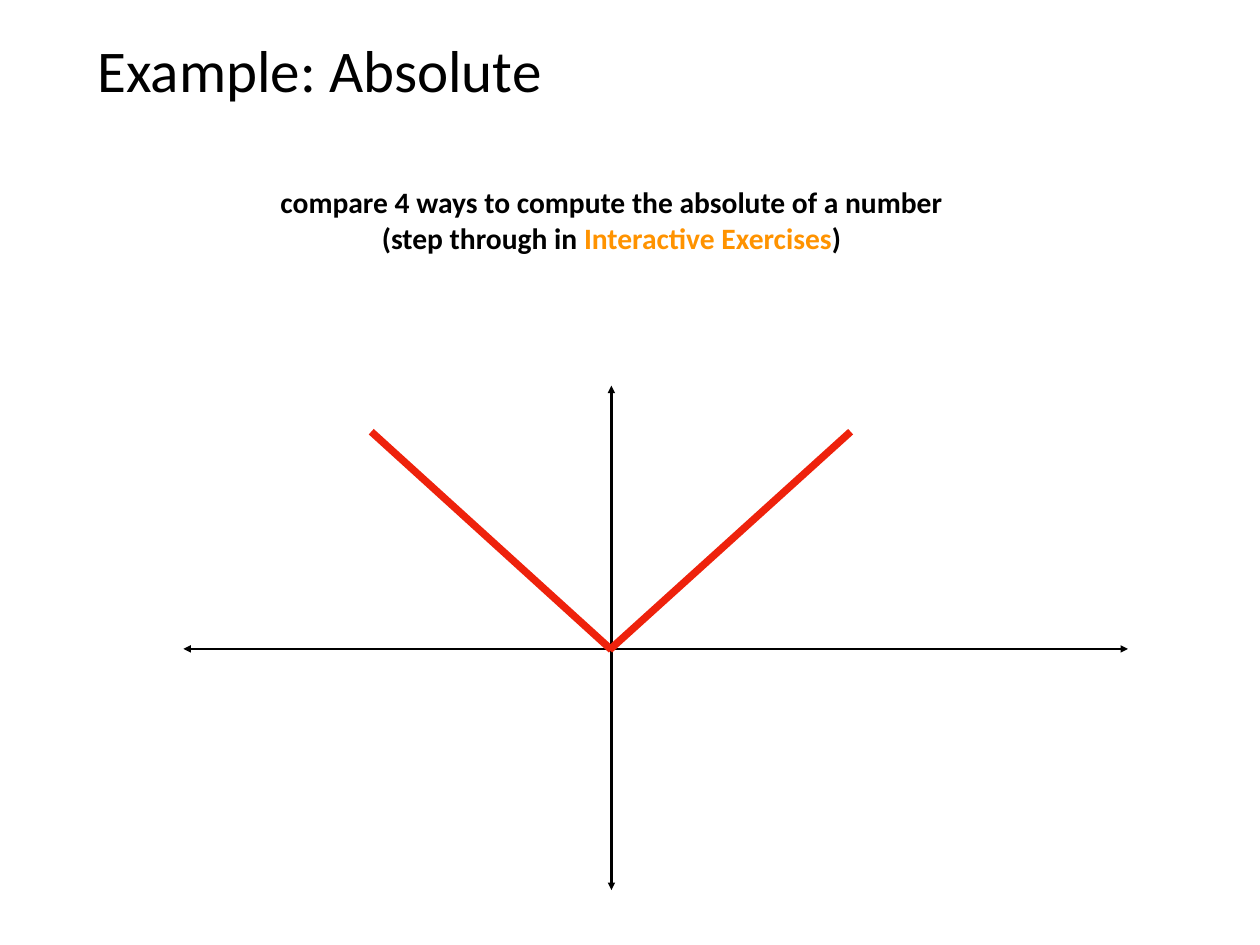
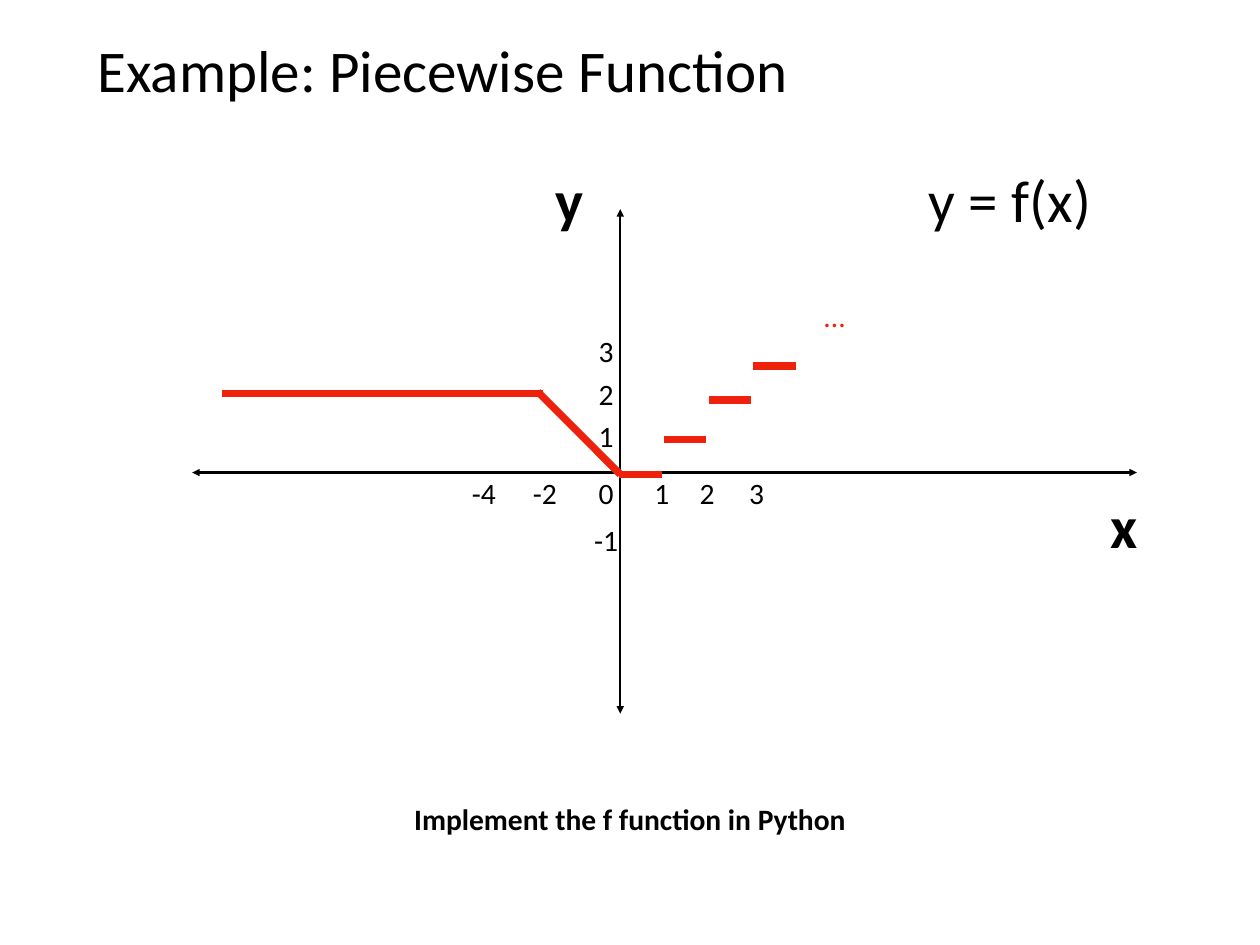
from lxml import etree
from pptx import Presentation
from pptx.dml.color import RGBColor
from pptx.enum.shapes import MSO_CONNECTOR
from pptx.enum.text import MSO_ANCHOR, MSO_AUTO_SIZE, PP_ALIGN
from pptx.oxml.ns import qn
from pptx.util import Inches, Pt

LINE = MSO_CONNECTOR.STRAIGHT
MIDDLE = MSO_ANCHOR.MIDDLE
FIXED = MSO_AUTO_SIZE.NONE
LEFT, CENTER = PP_ALIGN.LEFT, PP_ALIGN.CENTER
BLACK, RED, ORANGE = "000000", "EE220C", "FF9300"
FACE = "Calibri"
LARGE, SMALL = 48, 24
TITLE_BOX = (1.04, 0.28, 12.14, 0.99)


def color(code):
    return RGBColor.from_string(code)


def set_frame(frame, wrap):
    frame.auto_size = FIXED
    frame.word_wrap = wrap
    frame.vertical_anchor = MIDDLE
    frame.margin_left = frame.margin_right = Inches(0.06)
    frame.margin_top = frame.margin_bottom = Inches(0.06)


def set_font(font, size, code=BLACK, bold=False):
    font.name = FACE
    font.size = Pt(size)
    font.bold = bold
    font.color.rgb = color(code)


def add_page(deck, text):
    slide = deck.slides.add_slide(deck.slide_layouts[5])
    title = slide.shapes.title
    title.left, title.top, title.width, title.height = map(Inches, TITLE_BOX)
    title.text = text
    set_frame(title.text_frame, True)
    line = title.text_frame.paragraphs[0]
    line.alignment = LEFT
    set_font(line.font, LARGE)
    return slide


def add_label(slide, mid, size, lines, code=BLACK, bold=False):
    x, y = mid
    width, height = size
    box = slide.shapes.add_textbox(Inches(x - width / 2), Inches(y - height / 2),
                                   Inches(width), Inches(height))
    frame = box.text_frame
    set_frame(frame, False)
    for index, (text, points) in enumerate(lines):
        line = frame.add_paragraph() if index else frame.paragraphs[0]
        line.alignment = CENTER
        set_font(line.font, points, code, bold)
        line.add_run().text = text
    return frame


def add_line(slide, start, end, code, width, arrows=False):
    link = slide.shapes.add_connector(LINE, *map(Inches, (*start, *end)))
    link.line.color.rgb = color(code)
    link.line.width = Pt(width)
    props = link._element.spPr
    if arrows:
        stroke = props.find(qn("a:ln"))
        for tag in ("a:headEnd", "a:tailEnd"):
            etree.SubElement(stroke, qn(tag), type="triangle")
    etree.SubElement(props, qn("a:effectLst"))


def add_plane(slide, origin, strokes):
    x, y = origin
    for start, end in (((0, 2.72), (0, -2.97)), ((5.83, 0), (-4.83, 0))):
        add_line(slide, (x + start[0], y + start[1]),
                 (x + end[0], y + end[1]), BLACK, 2, True)
    for start, end in strokes:
        add_line(slide, (x + start[0], y + start[1]),
                 (x + end[0], y + end[1]), RED, 6)


def add_marks(slide, origin):
    x, y = origin
    ticks = [(text, dx, 0.23) for text, dx in (
        ("-4", -1.54), ("-2", -0.85), ("0", -0.16),
        ("1", 0.47), ("2", 0.98), ("3", 1.54))]
    ticks += [(text, -0.16, dy) for text, dy in (
        ("3", -1.37), ("2", -0.89), ("1", -0.41), ("-1", 0.76))]
    for text, dx, dy in ticks:
        add_label(slide, (x + dx, y + dy), (0.41, 0.51), [(text, SMALL)])
    add_label(slide, (x + 2.42, y - 1.77), (0.38, 0.51), [("...", SMALL)], RED)
    for text, dx, dy, width, bold in (
            ("x", 5.69, 0.59, 0.5, True),
            ("y", -0.57, -3.09, 0.5, True),
            ("y = f(x)", 4.4, -3.09, 2.16, False)):
        add_label(slide, (x + dx, y + dy), (width, 0.91),
                  [(text, LARGE)], bold=bold)


def absolute(deck):
    slide = add_page(deck, "Example: Absolute")
    frame = add_label(
        slide, (6.9, 2.48), (9.09, 0.91),
        [("compare 4 ways to compute the absolute of a number", SMALL),
         ("(step through in ", SMALL)], bold=True)
    line = frame.paragraphs[1]
    link = line.add_run()
    link.text = "Interactive Exercises"
    link.font.color.rgb = color(ORANGE)
    line.add_run().text = ")"
    add_plane(slide, (6.9, 7.32), [((-2.71, -2.45), (0, 0.01)),
                                   ((2.7, -2.45), (-0.02, 0.01))])


def piecewise(deck):
    slide = add_page(deck, "Example: Piecewise Function")
    origin = (7, 5.33)
    steps = [((dx, dy), (dx + 0.48, dy)) for dx, dy in (
        (-0.01, 0.02), (0.49, -0.37), (1, -0.82), (1.5, -1.2))]
    slope = [((-0.93, -0.91), (0, 0.02)), ((-4.49, -0.89), (-0.87, -0.89))]
    add_plane(slide, origin, steps + slope)
    add_marks(slide, origin)
    add_label(slide, (7.11, 9.23), (6.01, 0.51),
              [("Implement the f function in Python", SMALL)], bold=True)


def main():
    deck = Presentation()
    deck.slide_width, deck.slide_height = Inches(14.22), Inches(10.66)
    absolute(deck)
    piecewise(deck)
    deck.save("out.pptx")


if __name__ == "__main__":
    main()
